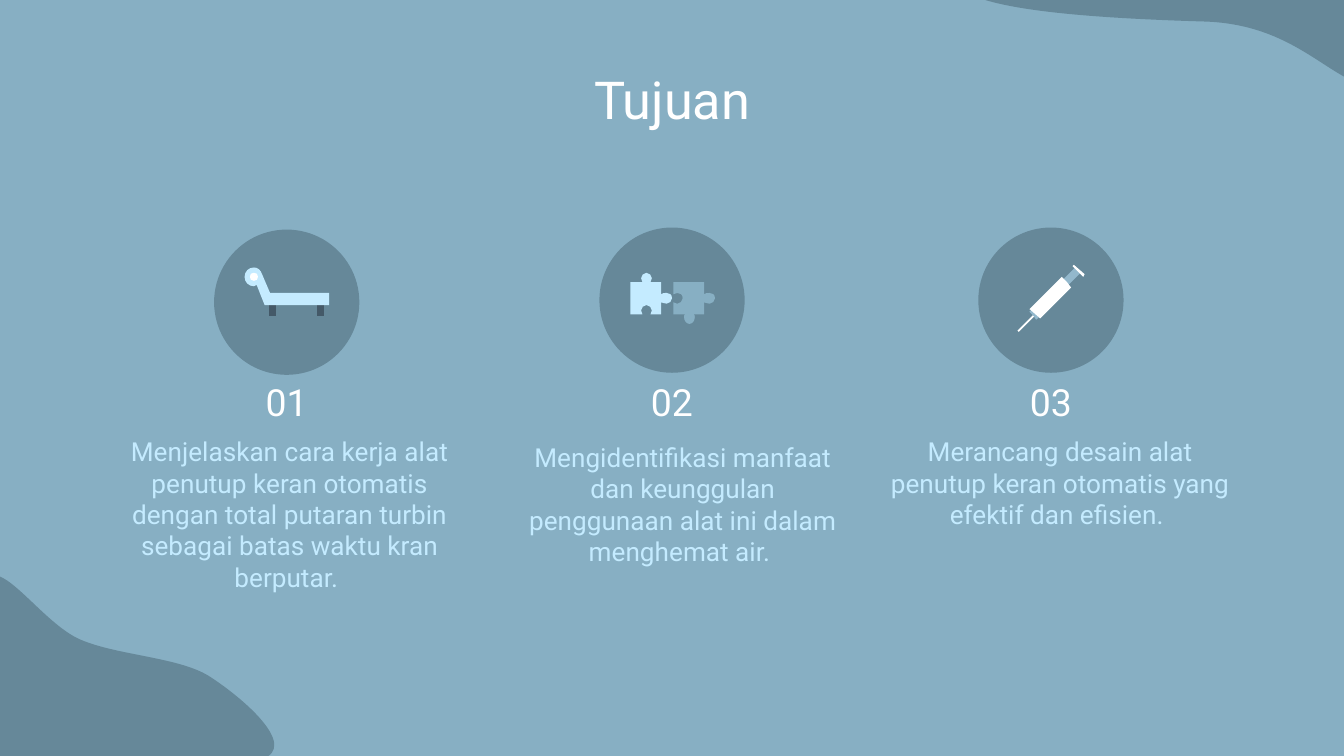
from lxml import etree
from pptx import Presentation
from pptx.dml.color import RGBColor
from pptx.enum.shapes import MSO_SHAPE
from pptx.enum.text import MSO_ANCHOR, PP_ALIGN
from pptx.oxml.ns import qn
from pptx.util import Pt

CENTER = PP_ALIGN.CENTER
TOP, MIDDLE = MSO_ANCHOR.TOP, MSO_ANCHOR.MIDDLE
DISC = MSO_SHAPE.FLOWCHART_CONNECTOR

COLORS = {
    "sky": "87AFC3", "slate": "668899", "white": "FFFFFF",
    "ice": "C4EBFF", "dark": "445968", "glass": "93B8CC",
}
FONT = "Roboto"
GRID = 0.72  # points per unit of the outline drawings
CURVE_STEPS = 12
PATH_TAGS = {"M": "a:moveTo", "L": "a:lnTo", "C": "a:cubicBezTo"}

# Outlines: M x y, then L x y or C x1 y1 x2 y2 x y
WAVES = [
    "M 1000 57 L 1000 0 L 733 0 C 766 10 829 14 894 16 C 948 17 975 43 1000 57",
    "M -10 431 C 2 416 32 464 60 476 C 88 488 135 489 157 504 "
    "C 180 519 223 555 195 565 C 167 576 23 588 -11 565 C -45 543 -22 446 -10 431",
]
BED = [
    ("dark", "M 236 225 L 236 235 L 241 235 L 241 225"),
    ("dark", "M 200 225 L 200 235 L 205 235 L 205 225"),
    ("ice", "M 189 199 C 185 199 182 202 182 206 C 182 210 185 213 189 213 "
            "C 190 213 190 212 191 212 L 197 227 L 245 227 L 245 218 L 201 218 "
            "L 195 204 C 194 201 192 199 189 199"),
    ("white", "M 189 203 C 187 203 186 204 186 206 C 186 208 187 209 189 209 "
              "C 191 209 192 208 192 206 C 192 204 191 203 189 203"),
]
PUZZLE = [
    ("ice", "M 481 203 C 479 203 477 205 477 207 C 477 208 477 209 478 210 "
            "L 469 210 L 469 234 L 478 234 C 477 233 477 232 477 231 "
            "C 477 229 479 227 481 227 C 483 227 485 229 485 231 "
            "C 485 232 485 233 484 234 L 492 234 L 492 225 "
            "C 493 225 494 226 496 226 C 498 226 500 224 500 222 "
            "C 500 219 498 218 496 218 C 494 218 493 218 492 219 "
            "L 492 210 L 484 210 C 485 209 485 208 485 207 C 485 205 483 203 481 203"),
    ("sky", "M 501 210 L 501 219 C 502 218 503 218 504 218 C 506 218 508 219 508 222 "
            "C 508 224 506 226 504 226 C 503 226 502 226 501 225 L 501 234 L 510 234 "
            "C 509 234 509 235 509 236 C 509 239 511 241 513 241 "
            "C 515 241 517 239 517 236 C 517 235 517 234 516 234 L 524 234 L 524 225 "
            "C 525 225 526 226 528 226 C 530 226 532 224 532 222 "
            "C 532 219 530 218 528 218 C 526 218 525 218 524 219 L 524 210"),
]
SYRINGE = [
    ("glass", "M 800 199 L 783 216 L 787 220 L 804 203 L 802 201"),
    ("white", "M 774 229 L 757 246 L 758 247 L 775 230"),
    ("glass", "M 768 230 L 766 232 L 769 235 L 771 238 L 773 236"),
    ("white", "M 790 206 L 766 230 L 774 237 L 797 214 L 794 210"),
    ("white", "M 799 197 L 798 198 L 802 202 L 806 206 L 807 204"),
]

# Center, disc top, icon, goal, and left, top, width, height of the goal
GOALS = [
    (153.6, 123, BED, "Menjelaskan cara kerja alat penutup keran otomatis dengan "
     "total putaran turbin sebagai batas waktu kran berputar. ", (40, 226.2, 220.3, 118.8)),
    (360, 121.9, PUZZLE, "Mengidentifikasi manfaat dan keunggulan penggunaan alat ini "
     "dalam menghemat air. ", (260.3, 229.2, 200.9, 69)),
    (563, 121.9, SYRINGE, "Merancang desain alat penutup keran otomatis yang efektif "
     "dan efisien. ", (456, 226.2, 213.8, 69)),
]
DISC_SIZE = 77.8
NUMBER_WIDTH = 189.4


def read_outline(outline):
    """Split an outline into (command, points) pairs, with the points in EMU."""
    tokens = iter(outline.split())
    segments = []
    for command in tokens:
        count = 3 if command == "C" else 1
        segments.append((command, [(Pt(float(next(tokens)) * GRID), Pt(float(next(tokens)) * GRID))
                                   for _ in range(count)]))
    return segments


def sample(segments):
    """Return points along the outline, which give its true extent."""
    points = []
    for command, ends in segments:
        if command != "C":
            points += ends
            continue
        controls = [points[-1], *ends]
        for step in range(1, CURVE_STEPS + 1):
            t = step / CURVE_STEPS
            weights = ((1 - t) ** 3, 3 * t * (1 - t) ** 2, 3 * t * t * (1 - t), t ** 3)
            points.append(tuple(sum(w * c[axis] for w, c in zip(weights, controls))
                                for axis in (0, 1)))
    return points


def set_curves(shape, segments):
    """Give the freeform true Bézier curves, which the builder cannot draw."""
    path = shape._element.find(".//" + qn("a:path"))
    for child in list(path):
        path.remove(child)
    for command, points in segments:
        part = etree.SubElement(path, qn(PATH_TAGS[command]))
        for x, y in points:
            etree.SubElement(part, qn("a:pt"), x=str(x - shape.left), y=str(y - shape.top))
    etree.SubElement(path, qn("a:close"))


class SlideBuilder:
    def __init__(self, slide):
        self.slide = slide

    def background(self, color):
        fill = self.slide.background.fill
        fill.solid()
        fill.fore_color.rgb = RGBColor.from_string(COLORS[color])

    def paint(self, shape, color):
        shape.shadow.inherit = False
        shape.fill.solid()
        shape.fill.fore_color.rgb = RGBColor.from_string(COLORS[color])
        shape.line.fill.background()

    def outline(self, outline, color, group=None):
        shapes = group.shapes if group else self.slide.shapes
        segments = read_outline(outline)
        start, *rest = sample(segments)
        builder = shapes.build_freeform(*start)
        builder.add_line_segments(rest, close=True)
        shape = builder.convert_to_shape()
        set_curves(shape, segments)
        self.paint(shape, color)

    def icon(self, parts):
        group = self.slide.shapes.add_group_shape()
        for color, part in parts:
            self.outline(part, color, group)

    def disc(self, left, top, size, color):
        box = [Pt(value) for value in (left, top, size, size)]
        self.paint(self.slide.shapes.add_shape(DISC, *box), color)

    def text(self, words, box, size, color, anchor=MIDDLE, indent=0):
        frame = self.slide.shapes.add_textbox(*[Pt(value) for value in box]).text_frame
        frame.word_wrap = True
        frame.vertical_anchor = anchor
        frame.margin_left = frame.margin_right = Pt(7.2)
        frame.margin_top = frame.margin_bottom = Pt(7.2)
        paragraph = frame.paragraphs[0]
        paragraph.text = words
        paragraph.alignment = CENTER
        if indent:
            properties = paragraph._p.get_or_add_pPr()
            properties.set("marL", str(Pt(indent)))
            properties.set("indent", "0")
        paragraph.font.name = FONT
        paragraph.font.size = Pt(size)
        paragraph.font.color.rgb = RGBColor.from_string(COLORS[color])


def main():
    deck = Presentation()
    deck.slide_width, deck.slide_height = Pt(720), Pt(405)
    page = SlideBuilder(deck.slides.add_slide(deck.slide_layouts[6]))
    page.background("sky")
    for wave in WAVES:
        page.outline(wave, "slate")
    page.text("Tujuan", (56.2, 42.5, 607.6, 20.9), 28, "white")
    for number, (center, disc_top, icon, goal, goal_box) in enumerate(GOALS, 1):
        number_box = (center - NUMBER_WIDTH / 2, 206.6, NUMBER_WIDTH, 16.6)
        page.text(f"{number:02}", number_box, 20, "white")
        page.text(goal, goal_box, 14, "ice", anchor=TOP, indent=10)
        page.disc(center - DISC_SIZE / 2, disc_top, DISC_SIZE, "slate")
        page.icon(icon)
    deck.save("out.pptx")


if __name__ == "__main__":
    main()
